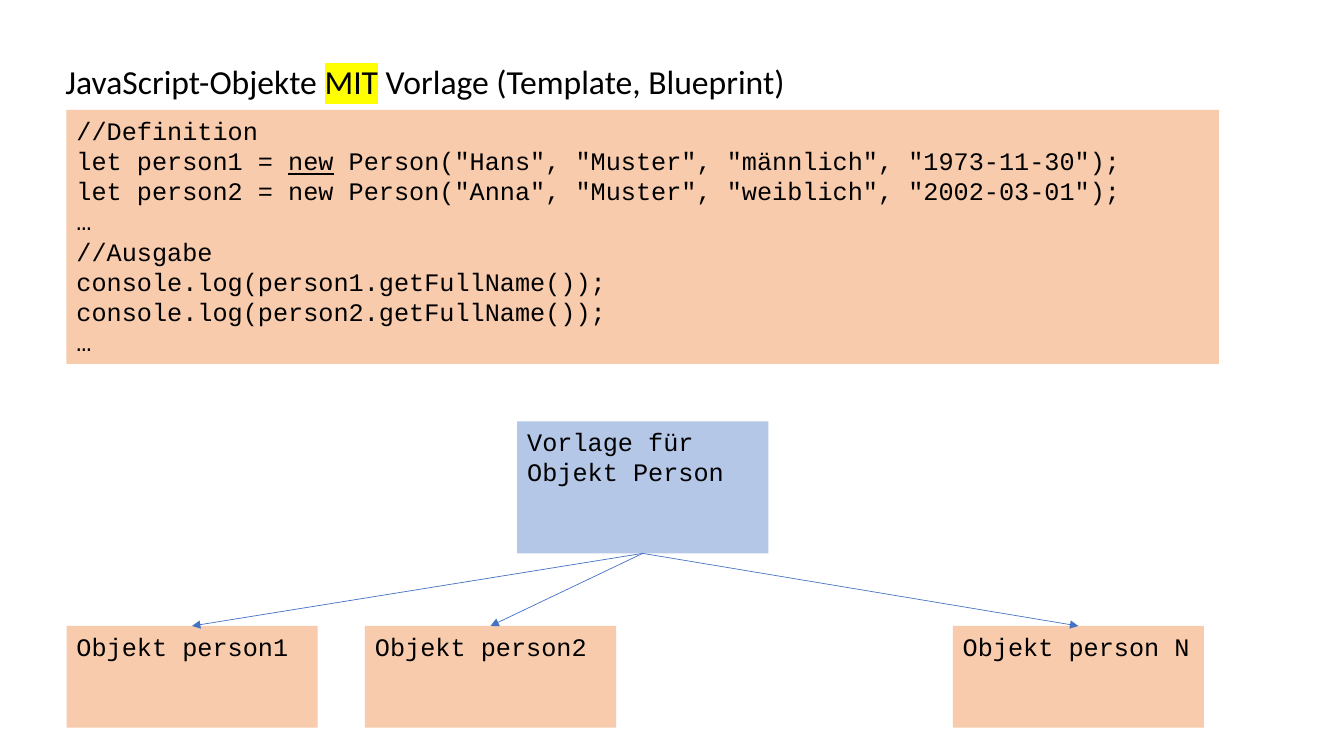
import pptx
import pptx.dml.color
import pptx.enum.shapes
import pptx.enum.text
import pptx.oxml
import pptx.oxml.ns
import pptx.util
from dataclasses import dataclass

PX = 9144  # EMU per px, 100 px to the inch


@dataclass(frozen=True)
class Theme:
    text: str = "000000"
    instance: str = "F8CBAD"
    template: str = "B4C7E7"
    arrow: str = "4472C4"
    marker: str = "FFFF00"
    title_font: str = "Calibri"
    code_font: str = "Courier New"
    title_size: int = 24
    code_size: int = 18
    arrow_width: float = 0.5


THEME = Theme()

CODE = [
    ["//Definition"],
    ["let person1 = ", ("new", "underline"),
     ' Person("Hans", "Muster", "männlich", "1973-11-30");'],
    ['let person2 = new Person("Anna", "Muster", "weiblich", "2002-03-01");'],
    ["…"],
    ["//Ausgabe"],
    ["console.log(person1.getFullName());"],
    ["console.log(person2.getFullName());"],
    ["…"],
]
TITLE = ["JavaScript-Objekte ", ("MIT", "highlight"), " Vorlage (Template, Blueprint)"]
INSTANCES = [("Objekt person1", 66), ("Objekt person2", 362), ("Objekt person N", 945)]
BOX_WIDTH = 249


def rgb(color):
    return pptx.dml.color.RGBColor.from_string(color)


def px(*lengths):
    return [pptx.util.Emu(length * PX) for length in lengths]


def xml(tag, attributes="", content=""):
    ns = pptx.oxml.ns.nsdecls("a")
    return pptx.oxml.parse_xml(f"<a:{tag} {ns} {attributes}>{content}</a:{tag}>")


def write(tf, lines, font, size):
    """Each line is a list of plain strings or (text, style) pairs."""
    tf.word_wrap = True
    tf.vertical_anchor = pptx.enum.text.MSO_ANCHOR.TOP
    for i, line in enumerate(lines):
        p = tf.paragraphs[0] if i == 0 else tf.add_paragraph()
        p.alignment = pptx.enum.text.PP_ALIGN.LEFT
        p.font.name = font
        p.font.size = pptx.util.Pt(size)
        p.font.color.rgb = rgb(THEME.text)
        for part in line:
            text, style = (part, None) if isinstance(part, str) else part
            r = p.add_run()
            r.text = text
            # Shapes default to white text, so each run states its colour
            r.font.color.rgb = rgb(THEME.text)
            if style == "underline":
                r.font.underline = True
            elif style == "highlight":
                marker = xml("highlight", content=f'<a:srgbClr val="{THEME.marker}"/>')
                r.font.fill  # colour comes first, the highlight follows it
                r._r.get_or_add_rPr().append(marker)


def add_title(s, line, *box):
    tf = s.shapes.add_textbox(*px(*box)).text_frame
    write(tf, [line], THEME.title_font, THEME.title_size)


def add_box(s, lines, color, *box):
    sp = s.shapes.add_shape(pptx.enum.shapes.MSO_SHAPE.RECTANGLE, *px(*box))
    sp.shadow.inherit = False
    sp.fill.solid()
    sp.fill.fore_color.rgb = rgb(color)
    sp.line.fill.background()
    write(sp.text_frame, lines, THEME.code_font, THEME.code_size)
    return sp


def add_arrow(s, source, target):
    arrow = s.shapes.add_connector(pptx.enum.shapes.MSO_CONNECTOR.STRAIGHT, 0, 0, 0, 0)
    arrow.begin_connect(source, 2)
    arrow.end_connect(target, 0)
    arrow.line.color.rgb = rgb(THEME.arrow)
    arrow.line.width = pptx.util.Pt(THEME.arrow_width)
    arrow.line._get_or_add_ln().append(xml("tailEnd", 'type="triangle"'))
    arrow._element.spPr.append(xml("effectLst"))


def main():
    prs = pptx.Presentation()
    prs.slide_width, prs.slide_height = px(1333, 750)
    s = prs.slides.add_slide(prs.slide_layouts[6])

    # Code listing and title
    add_box(s, CODE, THEME.instance, 66, 109, 1143, 252)
    add_title(s, TITLE, 55, 56, 862, 50)

    # Template and the objects made from it
    instances = [add_box(s, [[label]], THEME.instance, left, 621, BOX_WIDTH, 101)
                 for label, left in INSTANCES]
    template = add_box(s, [["Vorlage für Objekt Person"]], THEME.template,
                       513, 418, BOX_WIDTH, 131)
    for instance in instances:
        add_arrow(s, template, instance)

    prs.save("out.pptx")


if __name__ == "__main__":
    main()
